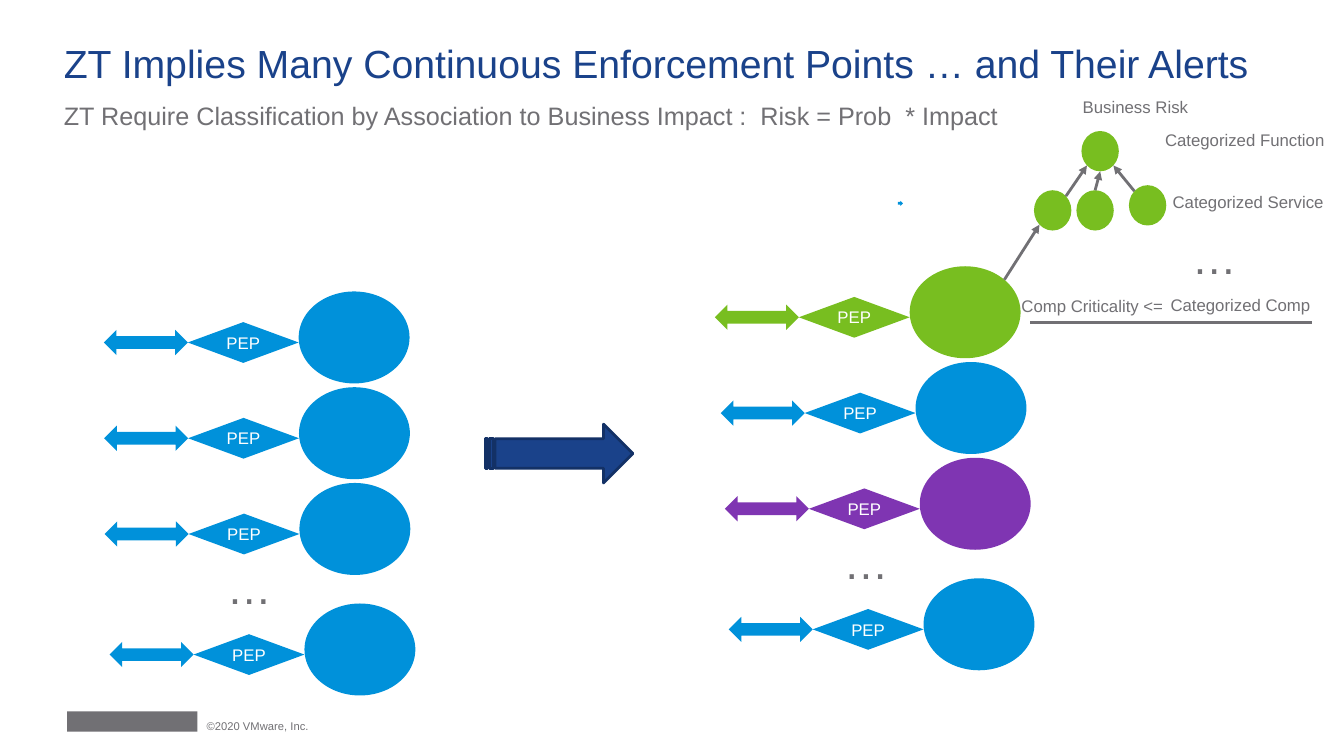
import math
from dataclasses import dataclass

import pptx
import pptx.dml.color
import pptx.enum.shapes
import pptx.enum.text
import pptx.oxml.ns
import pptx.util
from lxml import etree

MSO = pptx.enum.shapes.MSO_SHAPE
ALIGN = pptx.enum.text.PP_ALIGN
ANCHOR = pptx.enum.text.MSO_ANCHOR
qn = pptx.oxml.ns.qn

COLUMNS, ROWS = 160, 90
CELL = pptx.util.Inches(7.5) // ROWS


@dataclass(frozen=True)
class Theme:
    font: str = "Arial"
    navy: str = "1A428A"
    navy_edge: str = "133166"
    blue: str = "0091DA"
    green: str = "78BE20"
    purple: str = "7F35B2"
    gray: str = "717074"
    white: str = "FFFFFF"
    title: int = 28
    subtitle: int = 18
    ellipsis: int = 32
    label: int = 12
    footer: int = 8
    stroke: int = 2


@dataclass(frozen=True)
class Box:
    col: float
    row: float
    cols: float
    rows: float

    def emu(self) -> list[int]:
        return [cells(n) for n in (self.col, self.row, self.cols, self.rows)]

    def rim(self, degrees: float) -> tuple[float, float]:
        angle = math.radians(degrees)
        return (self.col + self.cols / 2 * (1 + math.cos(angle)),
                self.row + self.rows / 2 * (1 - math.sin(angle)))


@dataclass(frozen=True)
class Label:
    text: str
    box: Box
    size: int


@dataclass(frozen=True)
class Stack:
    top: float
    lefts: tuple[float, ...]
    colors: tuple[str, ...]


THEME = Theme()
ARROW_COLS, ARROW_ROWS = 10, 3
PEP_COLS, PEP_ROWS = 13.2, 4.85
ASSET_COLS, ASSET_ROWS = 13.2, 10.95
CHAIN_OFFSETS = (0, 11.4, 22.8, 37.15)
AXIS_DROP = 0.6

BEFORE = Stack(34.7, (12.36, 12.4, 12.45, 13.05), (THEME.blue,) * 4)
AFTER = Stack(31.7, (85.1, 85.8, 86.3, 86.75),
              (THEME.green, THEME.blue, THEME.purple, THEME.blue))

RISK = Box(128.75, 15.6, 4.45, 4.8)
SERVICES = [Box(col, row, RISK.cols, RISK.rows)
            for col, row in ((123.1, 22.65), (128.15, 22.65), (134.4, 22.05))]

LABELS = [
    Label("ZT Require Classification by Association to Business Impact :  "
          "Risk = Prob  * Impact", Box(7.6, 12, 118.3, 3.6), THEME.subtitle),
    Label("Business Risk", Box(128.9, 11.5, 13, 2.4), THEME.label),
    Label("Categorized Function", Box(138.7, 15.4, 20.6, 2.4), THEME.label),
    Label("Categorized Service", Box(139.6, 22.8, 19.2, 2.4), THEME.label),
    Label("Categorized Comp", Box(139.35, 35.1, 17.9, 2.4), THEME.label),
    Label("Comp Criticality <=", Box(121.6, 35.25, 18.4, 2.4), THEME.label),
    Label("…", Box(27, 66.6, 3.9, 6.5), THEME.ellipsis),
    Label("…", Box(100.45, 63.6, 3.9, 6.5), THEME.ellipsis),
    Label("…", Box(141.9, 27.4, 3.9, 6.5), THEME.ellipsis),
]


def cells(n: float) -> int:
    return round(n * CELL)


def rgb(color: str) -> pptx.dml.color.RGBColor:
    return pptx.dml.color.RGBColor.from_string(color)


def write(sp, text: str, size: int, color: str, align=ALIGN.LEFT,
          anchor=ANCHOR.TOP, spacing: float = 1.0) -> None:
    tf = sp.text_frame
    tf.word_wrap = True
    tf.vertical_anchor = anchor
    tf.margin_left = tf.margin_right = tf.margin_top = tf.margin_bottom = 0
    p = tf.paragraphs[0]
    p.alignment = align
    p.line_spacing = spacing
    r = p.add_run()
    r.text = text
    r.font.name = THEME.font
    r.font.size = pptx.util.Pt(size)
    r.font.color.rgb = rgb(color)


def add_label(slide, label: Label) -> None:
    sp = slide.shapes.add_textbox(*label.box.emu())
    write(sp, label.text, label.size, THEME.gray)


def add_solid(slide, kind, box: Box, fill: str, edge: str = ""):
    sp = slide.shapes.add_shape(kind, *box.emu())
    sp.shadow.inherit = False
    sp.fill.solid()
    sp.fill.fore_color.rgb = rgb(fill)
    if edge:
        sp.line.color.rgb = rgb(edge)
        sp.line.width = pptx.util.Pt(THEME.stroke)
    else:
        sp.line.fill.background()
    return sp


def add_line(slide, start: tuple[float, float], end: tuple[float, float],
             arrow: bool = True) -> None:
    cxn = slide.shapes.add_connector(
        pptx.enum.shapes.MSO_CONNECTOR.STRAIGHT, *map(cells, start + end))
    cxn.line.color.rgb = rgb(THEME.gray)
    cxn.line.width = pptx.util.Pt(THEME.stroke)
    props = cxn._element.spPr
    if arrow:
        etree.SubElement(props.find(qn("a:ln")), qn("a:tailEnd"), type="triangle")
    etree.SubElement(props, qn("a:effectLst"))


def add_stack(slide, stack: Stack) -> list[Box]:
    assets = []
    for left, offset, color in zip(stack.lefts, CHAIN_OFFSETS, stack.colors):
        top = stack.top + offset
        axis = top + ASSET_ROWS / 2 + AXIS_DROP
        pep_left = left + ARROW_COLS
        asset = Box(pep_left + PEP_COLS, top, ASSET_COLS, ASSET_ROWS)
        add_solid(slide, MSO.OVAL, asset, color)
        add_solid(slide, MSO.LEFT_RIGHT_ARROW,
                  Box(left, axis - ARROW_ROWS / 2, ARROW_COLS, ARROW_ROWS), color)
        pep = add_solid(slide, MSO.FLOWCHART_DECISION,
                        Box(pep_left, axis - PEP_ROWS / 2, PEP_COLS, PEP_ROWS), color)
        write(pep, "PEP", THEME.label, THEME.white, ALIGN.CENTER, ANCHOR.MIDDLE)
        assets.append(asset)
    return assets


def add_risk_tree(slide, component: Box) -> None:
    for node in (RISK, *SERVICES):
        add_solid(slide, MSO.OVAL, node, THEME.green)
    add_line(slide, component.rim(45), SERVICES[0].rim(225))
    for service, start, end in zip(SERVICES, (45, 90, 135), (225, 270, 315)):
        add_line(slide, service.rim(start), RISK.rim(end))
    add_line(slide, (122.65, 38.4), (156.15, 38.4), arrow=False)


def main() -> None:
    prs = pptx.Presentation()
    prs.slide_width, prs.slide_height = cells(COLUMNS), cells(ROWS)
    slide = prs.slides.add_slide(prs.slide_layouts[5])

    title = slide.shapes.title
    title.left, title.top, title.width, title.height = Box(7.6, 5.4, 144.4, 5).emu()
    write(title, "ZT Implies Many Continuous Enforcement Points … and Their Alerts",
          THEME.title, THEME.navy, anchor=ANCHOR.BOTTOM, spacing=0.9)

    add_solid(slide, MSO.RECTANGLE, Box(8, 84.7, 15.5, 2.4), THEME.gray)
    footer = slide.shapes.add_textbox(*Box(24.6, 85.4, 22.7, 2.4).emu())
    write(footer, "©2020 VMware, Inc.", THEME.footer, THEME.gray,
          anchor=ANCHOR.MIDDLE, spacing=0.9)

    add_solid(slide, MSO.STRIPED_RIGHT_ARROW, Box(57.85, 50.5, 17.5, 7),
              THEME.navy, THEME.navy_edge)
    add_solid(slide, MSO.STRIPED_RIGHT_ARROW, Box(106.9, 23.9, 0.6, 0.6), THEME.blue)
    add_stack(slide, BEFORE)
    add_risk_tree(slide, add_stack(slide, AFTER)[0])
    for label in LABELS:
        add_label(slide, label)
    prs.save("out.pptx")


if __name__ == "__main__":
    main()
